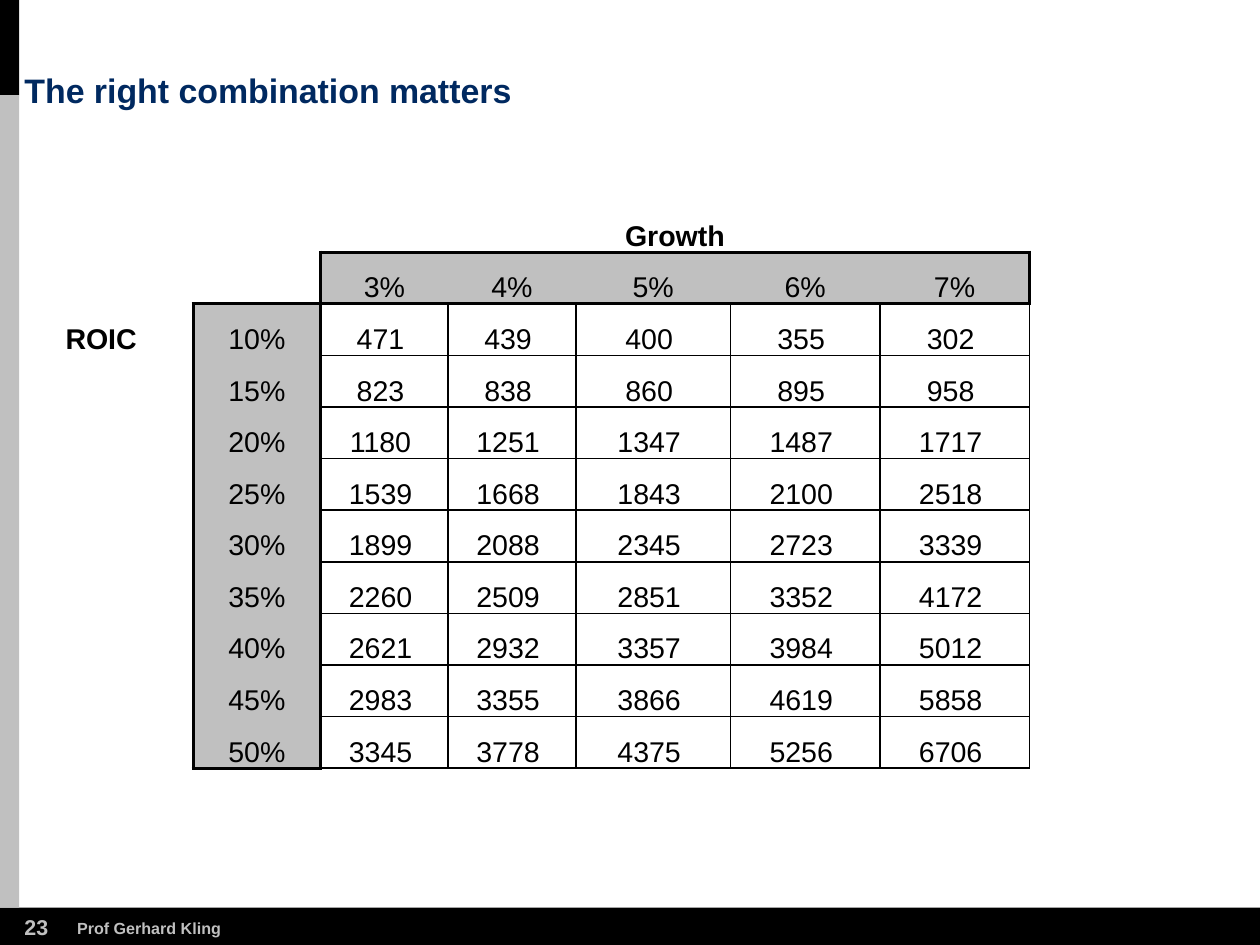
from dataclasses import dataclass

from lxml import etree
from pptx import Presentation
from pptx.dml.color import RGBColor
from pptx.enum.shapes import MSO_SHAPE
from pptx.enum.text import MSO_ANCHOR, MSO_AUTO_SIZE, PP_ALIGN
from pptx.oxml.ns import qn
from pptx.util import Inches, Pt

RECTANGLE = MSO_SHAPE.RECTANGLE
BOTTOM, TOP = MSO_ANCHOR.BOTTOM, MSO_ANCHOR.TOP
LEFT, CENTER = PP_ALIGN.LEFT, PP_ALIGN.CENTER
NO_AUTOFIT = MSO_AUTO_SIZE.NONE

TITLE = "The right combination matters"
GROWTH_LABEL, ROIC_LABEL = "Growth", "ROIC"
GROWTH_RATES = ["3%", "4%", "5%", "6%", "7%"]
VALUES_BY_ROIC = {
    "10%": [471, 439, 400, 355, 302],
    "15%": [823, 838, 860, 895, 958],
    "20%": [1180, 1251, 1347, 1487, 1717],
    "25%": [1539, 1668, 1843, 2100, 2518],
    "30%": [1899, 2088, 2345, 2723, 3339],
    "35%": [2260, 2509, 2851, 3352, 4172],
    "40%": [2621, 2932, 3357, 3984, 5012],
    "45%": [2983, 3355, 3866, 4619, 5858],
    "50%": [3345, 3778, 4375, 5256, 6706],
}


@dataclass(frozen=True)
class Theme:
    font: str = "Arial"
    black: str = "000000"
    grey: str = "C0C0C0"
    navy: str = "002960"
    title_size: int = 19
    table_size: int = 16
    number_size: int = 12
    author_size: int = 9
    thin: int = 1
    heavy: int = 2


THEME = Theme()
WIDTH, HEIGHT = 9.8, 7.35
RAIL, RAIL_SPLIT, FOOTER_TOP = 0.15, 0.74, 7.06
FOOTER_TEXTS = [
    ("23", (0.19, 7.11, 0.2, 0.2), THEME.number_size),
    ("Prof Gerhard Kling", (0.6, 7.14, 1.13, 0.15), THEME.author_size),
]
BARS = [
    ((0, FOOTER_TOP, WIDTH, HEIGHT - FOOTER_TOP), THEME.black),
    ((0, 0, RAIL, RAIL_SPLIT), THEME.black),
    ((0, RAIL_SPLIT, RAIL, FOOTER_TOP - RAIL_SPLIT), THEME.grey),
]
TITLE_AREA = (0.19, 0.58, 7.76, 0.28)
TABLE_AREA = (0.51, 1.21, 8.49, 5.57)
COLUMN_SHARES = [0.99, 0.99, 0.99, 0.99, 1.2, 0.54, 0.62, 0.38, 0.78, 0.99]
ROW_SHARES = [0.4, 0.35] + [0.4] * 12
FIELD_SPANS = [(2, 2), (3, 3), (4, 4), (5, 6), (7, 8)]
LABEL_ROW, RATE_ROW, FIRST_ROW = 1, 2, 3
LAST_ROW = FIRST_ROW + len(VALUES_BY_ROIC) - 1
ROIC_COLUMN, FIRST_COLUMN, LAST_COLUMN = 1, 2, 8


def inches(area):
    return [Inches(length) for length in area]


def write(frame, text, size, color, bold=False, align=LEFT):
    frame.text = text
    para = frame.paragraphs[0]
    para.alignment = align
    para.font.name, para.font.size, para.font.bold = THEME.font, Pt(size), bold
    para.font.color.rgb = RGBColor.from_string(color)
    return para


def clear_margins(holder):
    holder.margin_left = holder.margin_right = 0
    holder.margin_top = holder.margin_bottom = 0


def region(row, column):
    if FIRST_COLUMN <= column <= LAST_COLUMN:
        if row == RATE_ROW:
            return "rate"
        if FIRST_ROW <= row <= LAST_ROW:
            return "value"
    if column == ROIC_COLUMN and FIRST_ROW <= row <= LAST_ROW:
        return "roic"
    return None


def border_weight(row, column, next_row, next_column):
    pair = {region(row, column), region(next_row, next_column)}
    if row == next_row and any(
        {column, next_column} <= set(span) for span in FIELD_SPANS
    ):
        return 0
    if len(pair) == 2 and pair & {"rate", "roic"}:
        return THEME.heavy
    return THEME.thin if "value" in pair else 0


def set_border(cell, side, weight):
    properties = cell._tc.get_or_add_tcPr()
    line = etree.SubElement(properties, qn(f"a:ln{side}"), w=str(Pt(weight)))
    if weight:
        fill = etree.SubElement(line, qn("a:solidFill"))
        etree.SubElement(fill, qn("a:srgbClr"), val=THEME.black)
    else:
        etree.SubElement(line, qn("a:noFill"))


def style_cell(cell, row, column):
    clear_margins(cell)
    cell.vertical_anchor = BOTTOM
    for side, down, across in (("L", 0, -1), ("R", 0, 1), ("T", -1, 0), ("B", 1, 0)):
        set_border(cell, side, border_weight(row, column, row + down, column + across))
    if region(row, column) in ("rate", "roic"):
        cell.fill.solid()
        cell.fill.fore_color.rgb = RGBColor.from_string(THEME.grey)
    else:
        cell.fill.background()


def add_growth_table(page):
    frame = page.shapes.add_table(
        len(ROW_SHARES), len(COLUMN_SHARES), *inches(TABLE_AREA)
    )
    table = frame.table
    table.first_row = table.horz_banding = False
    for parts, shares, total in (
        (table.columns, COLUMN_SHARES, TABLE_AREA[2]),
        (table.rows, ROW_SHARES, TABLE_AREA[3]),
    ):
        for part, share in zip(parts, shares):
            length = Inches(total * share / sum(shares))
            if parts is table.columns:
                part.width = length
            else:
                part.height = length

    for row in range(len(ROW_SHARES)):
        for column in range(len(COLUMN_SHARES)):
            style_cell(table.cell(row, column), row, column)
        if row >= RATE_ROW:
            for start, end in FIELD_SPANS:
                if end > start:
                    table.cell(row, start).merge(table.cell(row, end))
    table.cell(LABEL_ROW, FIRST_COLUMN).merge(table.cell(LABEL_ROW, LAST_COLUMN))

    def put(row, column, text, bold=False, align=CENTER):
        frame = table.cell(row, column).text_frame
        write(frame, text, THEME.table_size, THEME.black, bold, align)

    put(LABEL_ROW, FIRST_COLUMN, GROWTH_LABEL, True)
    put(FIRST_ROW, 0, ROIC_LABEL, True, LEFT)
    for (column, _), rate in zip(FIELD_SPANS, GROWTH_RATES):
        put(RATE_ROW, column, rate)
    for row, (roic, values) in enumerate(VALUES_BY_ROIC.items(), FIRST_ROW):
        put(row, ROIC_COLUMN, roic)
        for (column, _), value in zip(FIELD_SPANS, values):
            put(row, column, f"{value} ")


def main():
    deck = Presentation()
    deck.slide_width, deck.slide_height = Inches(WIDTH), Inches(HEIGHT)
    page = deck.slides.add_slide(deck.slide_layouts[5])

    for area, color in BARS:
        bar = page.shapes.add_shape(RECTANGLE, *inches(area))
        bar.shadow.inherit = False
        bar.fill.solid()
        bar.fill.fore_color.rgb = RGBColor.from_string(color)
        bar.line.fill.background()

    for text, area, size in FOOTER_TEXTS:
        frame = page.shapes.add_textbox(*inches(area)).text_frame
        clear_margins(frame)
        frame.word_wrap = False
        write(frame, text, size, THEME.grey, True)

    title = page.shapes.title
    title.left, title.top, title.width, title.height = inches(TITLE_AREA)
    frame = title.text_frame
    clear_margins(frame)
    frame.vertical_anchor, frame.auto_size = BOTTOM, NO_AUTOFIT
    write(frame, TITLE, THEME.title_size, THEME.navy, True).line_spacing = 0.9

    add_growth_table(page)
    deck.save("out.pptx")


if __name__ == "__main__":
    main()
